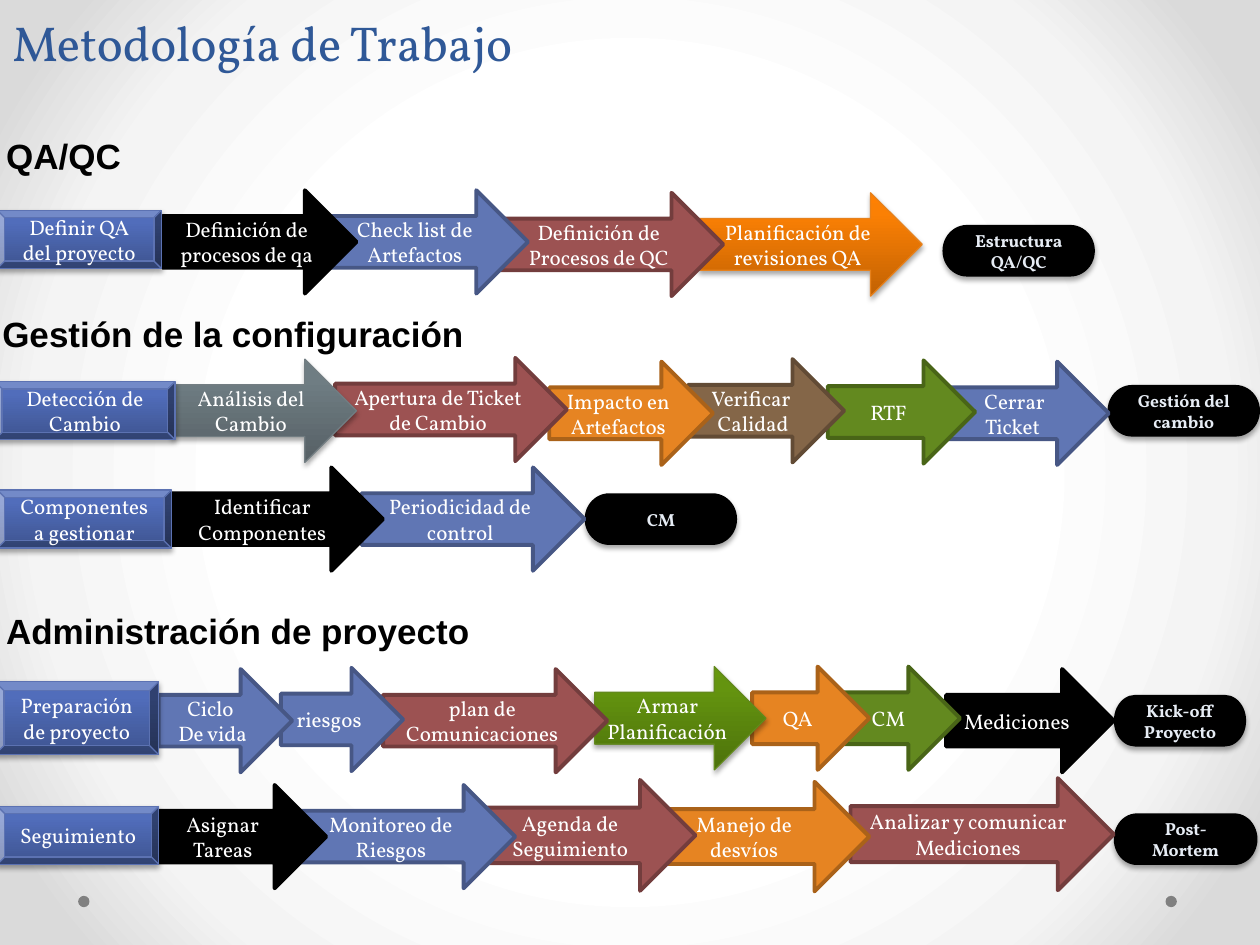
from lxml.etree import SubElement
from pptx import Presentation
from pptx.dml.color import RGBColor
from pptx.enum.shapes import MSO_SHAPE
from pptx.enum.text import MSO_ANCHOR, PP_ALIGN
from pptx.oxml.ns import qn
from pptx.util import Inches, Pt

WIDTH, HEIGHT = 10, 7.5
TITLE = "Metodología de Trabajo"
HEADINGS = [  # text, left, top
    ("QA/QC", -0.05, 1.02),
    ("Gestión de la configuración", -0.08, 2.43),
    ("Administración de proyecto", -0.05, 4.79),
]

# Style: shape, height, fill (a list is a gradient), line, line width
ARROW, BEVEL, PILL = MSO_SHAPE.RIGHT_ARROW, MSO_SHAPE.BEVEL, MSO_SHAPE.FLOWCHART_TERMINATOR
STYLES = {
    "start": (BEVEL, 0.46, [(0, "3E5490"), (80, "516DBB"), (100, "4F6CBE")], "5C72B2", 0.75),
    "end": (PILL, 0.41, "000000", None, 0),
    "black": (ARROW, 0.82, "000000", "000000", 2.25),
    "blue": (ARROW, 0.82, "6076B4", "475785", 2.25),
    "red": (ARROW, 0.82, "9C5252", "733D3D", 2.25),
    "orange": (ARROW, 0.82, "E68422", "AA6219", 2.25),
    "brown": (ARROW, 0.82, "846648", "624B35", 2.25),
    "green": (ARROW, 0.82, "63891F", "496517", 2.25),
    "shaded orange": (ARROW, 0.82, [(0, "C26203"), (80, "FB8004"), (100, "FF8002")], "E6811C", 0.75),
    "shaded grey": (ARROW, 0.82, [(0, "566065"), (80, "6F7D83"), (100, "6F7E84")], "727D82", 0.75),
    "shaded green": (ARROW, 0.82, [(0, "4D720B"), (80, "64940F"), (100, "65970C")], "62891C", 0.75),
}

# Each process: text, style, left, width, vertical middle, own height if any
PROCESSES = [
    [
        ("Definir QA del proyecto", "start", -0.02, 1.3, 1.9),
        ("Definición de procesos de qa", "black", 1.29, 1.54, 1.92),
        ("Check list de Artefactos", "blue", 2.6, 1.59, 1.92),
        ("Definición de Procesos de QC", "red", 3.97, 1.77, 1.94),
        ("Planificación de revisiones QA", "shaded orange", 5.55, 1.77, 1.94),
        ("Estructura\nQA/QC", "end", 7.48, 1.21, 1.99),
    ],
    [
        ("Detección de Cambio", "start", -0.04, 1.43, 3.26),
        ("Análisis del Cambio", "shaded grey", 1.36, 1.47, 3.26),
        ("Apertura de Ticket de Cambio", "red", 2.66, 1.84, 3.25),
        ("Impacto en Artefactos", "orange", 4.36, 1.3, 3.28),
        ("Verificar \nCalidad", "brown", 5.46, 1.24, 3.26),
        ("RTF", "green", 6.57, 1.17, 3.27),
        ("Cerrar\nTicket ", "blue", 7.51, 1.29, 3.28),
        ("Gestión del cambio", "end", 8.79, 1.21, 3.26),
    ],
    [
        ("Componentes a gestionar", "start", -0.02, 1.38, 4.12),
        ("Identificar\nComponentes", "black", 1.33, 1.71, 4.12),
        ("Periodicidad de\ncontrol", "blue", 2.87, 1.77, 4.12),
        ("CM", "end", 4.64, 1.21, 4.12),
    ],
    [
        ("Preparación de proyecto", "start", -0.04, 1.3, 5.7, 0.58),
        ("Ciclo \nDe vida", "blue", 1.26, 1.06, 5.72),
        ("riesgos", "blue", 2.23, 0.97, 5.71),
        ("plan de\nComunicaciones", "red", 3.04, 1.78, 5.72),
        ("Armar Planificación", "shaded green", 4.72, 1.36, 5.7),
        ("QA", "orange", 5.97, 0.93, 5.7),
        ("CM", "green", 6.69, 0.93, 5.7),
        ("Mediciones", "black", 7.51, 1.33, 5.72),
        ("Kick-off Proyecto", "end", 8.84, 1.05, 5.72),
    ],
    [
        ("Seguimiento", "start", -0.02, 1.28, 6.63),
        ("Asignar Tareas", "black", 1.15, 1.44, 6.64),
        ("Monitoreo de\nRiesgos", "blue", 2.32, 1.77, 6.64),
        ("Agenda de\nSeguimiento", "red", 3.75, 1.77, 6.63, 0.88),
        ("Manejo de\ndesvíos", "orange", 5.13, 1.77, 6.64, 0.87),
        ("Analizar y comunicar Mediciones", "red", 6.75, 2.09, 6.62, 0.89),
        ("Post-Mortem", "end", 8.84, 1.14, 6.66),
    ],
]


def color(value):
    return RGBColor.from_string(value)


def add_color(parent, value, alpha=None):
    node = SubElement(parent, qn("a:srgbClr"), val=value)
    if alpha is not None:
        SubElement(node, qn("a:alpha"), val=str(alpha * 1000))


def set_gradient(fill, owner, stops, radial=False):
    fill.gradient()
    gradient = owner.element.find(".//" + qn("a:gradFill"))
    for child in list(gradient):
        gradient.remove(child)
    stop_list = SubElement(gradient, qn("a:gsLst"))
    for position, value in stops:
        add_color(SubElement(stop_list, qn("a:gs"), pos=str(position * 1000)), value)
    if radial:
        circle = SubElement(gradient, qn("a:path"), path="circle")
        SubElement(circle, qn("a:fillToRect"), l="50000", t="50000", r="50000", b="50000")
    else:
        SubElement(gradient, qn("a:lin"), ang=str(270 * 60000), scaled="0")


def add_shadow(shape):
    effects = shape.element.spPr.find(qn("a:effectLst"))
    shadow = SubElement(effects, qn("a:outerShdw"), blurRad=str(Pt(3.1)), dist=str(Pt(1.8)),
                        dir=str(90 * 60000), rotWithShape="0")
    add_color(shadow, "000000", alpha=35)


def write(frame, text, size=12, font="Vollkorn", ink="FFFFFF", bold=False, align=PP_ALIGN.CENTER,
          anchor=MSO_ANCHOR.MIDDLE):
    frame.word_wrap = True
    frame.vertical_anchor = anchor
    for index, line in enumerate(text.split("\n")):
        para = frame.add_paragraph() if index else frame.paragraphs[0]
        para.alignment = align
        span = para.add_run()
        span.text = line
        span.font.size, span.font.name, span.font.bold = Pt(size), font, bold
        span.font.color.rgb = color(ink)


def add_label(page, text, left, top, width, height, **format):
    box = page.shapes.add_textbox(Inches(left), Inches(top), Inches(width), Inches(height))
    write(box.text_frame, text, align=PP_ALIGN.LEFT, anchor=MSO_ANCHOR.TOP, **format)


def add_figure(page, kind, left, top, width, height, fill, line=None, weight=0):
    shape = page.shapes.add_shape(kind, Inches(left), Inches(top), Inches(width), Inches(height))
    shape.shadow.inherit = False
    if isinstance(fill, list):
        set_gradient(shape.fill, shape, fill)
    else:
        shape.fill.solid()
        shape.fill.fore_color.rgb = color(fill)
    if line:
        shape.line.color.rgb = color(line)
        shape.line.width = Pt(weight)
    else:
        shape.line.fill.background()
    return shape


def add_step(page, text, style, left, width, middle, own_height=None):
    kind, height, fill, line, weight = STYLES[style]
    height = own_height or height
    shape = add_figure(page, kind, left, middle - height / 2, width, height, fill, line, weight)
    if style == "end" or isinstance(fill, list):
        add_shadow(shape)
    if style == "end":
        write(shape.text_frame, text, size=10, ink="E6ECF4", bold=True)
    else:
        write(shape.text_frame, text)


def main():
    deck = Presentation()
    deck.slide_width, deck.slide_height = Inches(WIDTH), Inches(HEIGHT)
    page = deck.slides.add_slide(deck.slide_layouts[6])

    # Background and corner dots
    set_gradient(page.background.fill, page, [(50, "FFFFFF"), (76, "F4F4F4"), (92, "DADADA")], radial=True)
    for left in (0.62, 9.25):
        add_figure(page, MSO_SHAPE.OVAL, left, 7.11, 0.09, 0.09, "808080")

    # Title and section headings
    add_label(page, TITLE, 0, 0.05, WIDTH, 0.57, size=28, ink="2F5897")
    for text, left, top in HEADINGS:
        add_label(page, text, left, top, 4.2, 0.43, size=20, font="Arial", ink="000000", bold=True)

    # Processes, last step first so that each arrow lies over the next one
    for process in PROCESSES:
        for step in reversed(process):
            add_step(page, *step)

    deck.save("out.pptx")


if __name__ == "__main__":
    main()
